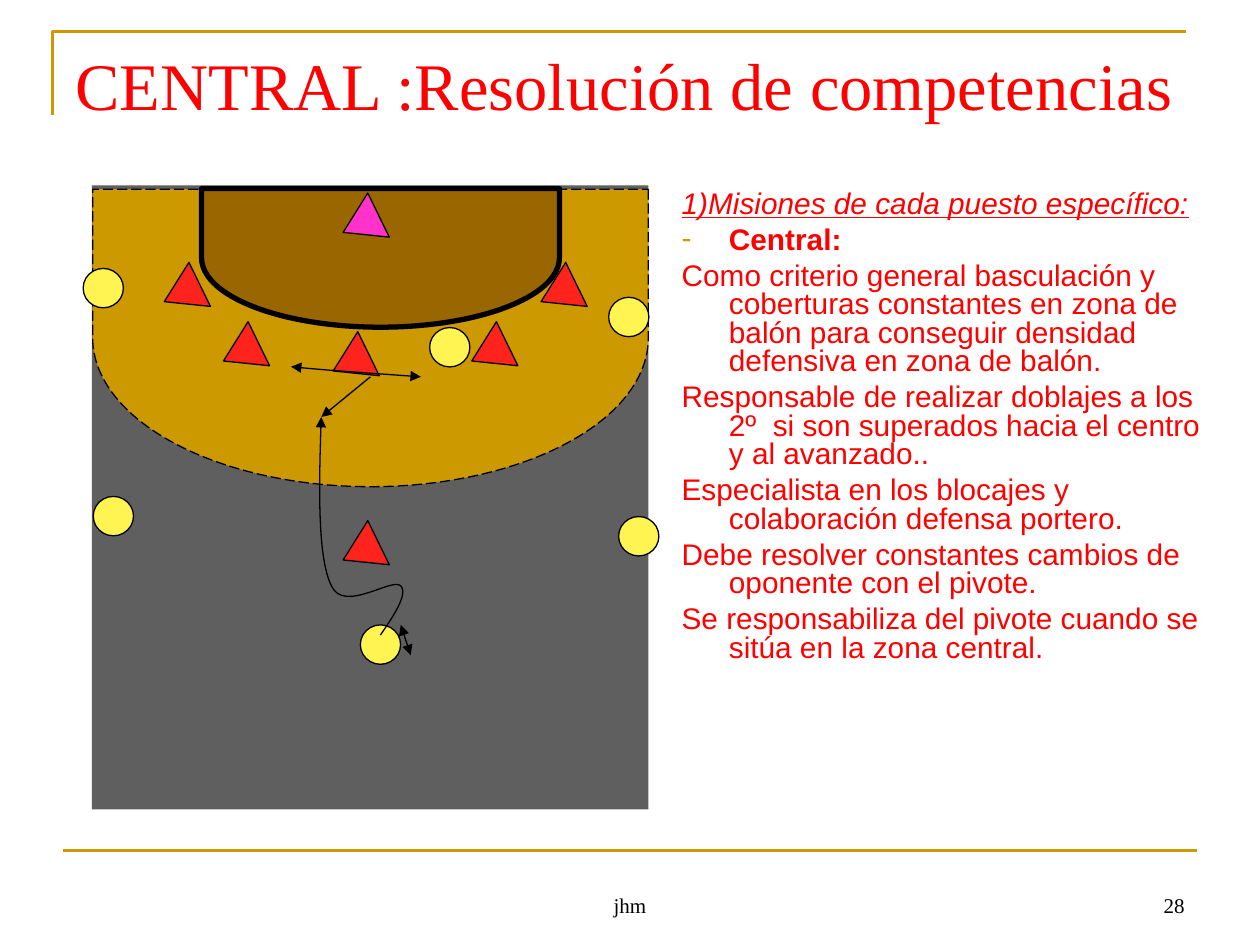
from dataclasses import dataclass
from lxml.etree import SubElement
from pptx import Presentation
from pptx.dml.color import RGBColor
from pptx.enum.dml import MSO_LINE
from pptx.enum.shapes import MSO_CONNECTOR, MSO_SHAPE
from pptx.enum.text import MSO_ANCHOR, MSO_AUTO_SIZE, PP_ALIGN
from pptx.oxml.ns import qn
from pptx.util import Pt


@dataclass(frozen=True)
class Theme:
    accent: str = "CC9900"
    text: str = "FF0000"
    ink: str = "000000"
    court: str = "5F5F5F"
    goal_area: str = "996600"
    defender: str = "FF231E"
    keeper: str = "FF33CC"
    attacker: str = "FFF452"
    serif: str = "Times New Roman"
    sans: str = "Arial"
    title_size: int = 38
    body_size: int = 17
    footer_size: int = 12


theme = Theme()


def paint(shape, fill, color, width):
    shape.shadow.inherit = False
    if fill:
        shape.fill.solid()
        shape.fill.fore_color.rgb = RGBColor.from_string(fill)
    else:
        shape.fill.background()
    if width:
        shape.line.color.rgb = RGBColor.from_string(color)
        shape.line.width = Pt(width)
    else:
        shape.line.fill.background()


def style_text(paragraph, font_name, size, color):
    font = paragraph.runs[0].font
    font.name = font_name
    font.size = Pt(size)
    font.color.rgb = RGBColor.from_string(color)
    return font


prs = Presentation()
prs.slide_width, prs.slide_height = Pt(720), Pt(540)
slide = prs.slides.add_slide(prs.slide_layouts[1])
shapes = slide.shapes

corner = shapes.build_freeform(Pt(30), Pt(66), scale=1.0)
corner.add_line_segments([(Pt(30), Pt(18)), (Pt(678), Pt(18))], close=False)
paint(corner.convert_to_shape(), None, theme.accent, 1.5)

title = shapes.title
title.left, title.top, title.width, title.height = Pt(36), Pt(21.6), Pt(648), Pt(98.6)
title.text_frame.text = "CENTRAL :Resolución de competencias"
title.text_frame.auto_size = MSO_AUTO_SIZE.NONE
title.text_frame.vertical_anchor = MSO_ANCHOR.TOP
title.text_frame.paragraphs[0].alignment = PP_ALIGN.LEFT
style_text(title.text_frame.paragraphs[0], theme.serif, theme.title_size, theme.text)

missions = [
    "1)Misiones de cada puesto específico:",
    "Central:",
    "Como criterio general basculación y coberturas constantes en zona de balón para conseguir densidad defensiva en zona de balón.",
    "Responsable de realizar doblajes a los 2º  si son superados hacia el centro y al avanzado..",
    "Especialista en los blocajes y colaboración defensa portero.",
    "Debe resolver constantes cambios de oponente con el pivote.",
    "Se responsabiliza del pivote cuando se sitúa en la zona central.",
]
body = slide.placeholders[1]
body.left, body.top, body.width, body.height = Pt(382.3), Pt(105.8), Pt(318.2), Pt(325.4)
body.text_frame.text = "\n".join(missions)
body.text_frame.auto_size = MSO_AUTO_SIZE.NONE
for index, mission in enumerate(body.text_frame.paragraphs):
    mission.line_spacing = 0.8
    mission.space_before = Pt(4.2)
    font = style_text(mission, theme.sans, theme.body_size, theme.text)
    font.italic = font.underline = index == 0
    font.bold = index == 1
    props = mission._p.get_or_add_pPr()
    props.set("marL", str(Pt(27)))
    props.set("indent", str(Pt(-27)))
    if index == 1:
        SubElement(SubElement(props, qn("a:buClr")), qn("a:srgbClr"), val=theme.accent)
        SubElement(props, qn("a:buChar"), char="-")
    else:
        SubElement(props, qn("a:buNone"))

for words, left, width, align in [
    ("jhm", 246, 228, PP_ALIGN.CENTER),
    ("28", 516, 168, PP_ALIGN.RIGHT),
]:
    footer = shapes.add_textbox(Pt(left), Pt(492), Pt(width), Pt(36)).text_frame
    footer.word_wrap = True
    footer.vertical_anchor = MSO_ANCHOR.BOTTOM
    footer.text = words
    footer.paragraphs[0].alignment = align
    style_text(footer.paragraphs[0], theme.serif, theme.footer_size, theme.ink)

court = shapes.add_shape(MSO_SHAPE.RECTANGLE, Pt(52.5), Pt(106), Pt(318), Pt(356.5))
paint(court, theme.court, None, 0)

for center_x, center_y, depth, span, fill, width, dash in [
    (211.7, 193.1, 170, 317.5, theme.accent, 0.75, MSO_LINE.LONG_DASH),
    (217.4, 147.4, 79.2, 204.5, theme.goal_area, 3, None),
]:
    area = shapes.add_shape(MSO_SHAPE.FLOWCHART_DELAY, Pt(center_x - depth / 2),
                            Pt(center_y - span / 2), Pt(depth), Pt(span))
    area.rotation = 90
    paint(area, fill, theme.ink, width)
    area.line.dash_style = dash

attackers = [(47.5, 153.4), (53.3, 283.7), (245.5, 187.2),
             (347.8, 169.9), (353.5, 295.2), (205.9, 357.1)]
defenders = [(90, 156.2), (123.8, 190.1), (186.5, 195.8),
             (192.2, 303.8), (265.7, 190.1), (305.3, 156.2)]
keepers = [(192.2, 116.6)]
for team, preset, width, height, rotation, fill in [
    (attackers, MSO_SHAPE.OVAL, 23, 22.5, 0, theme.attacker),
    (defenders, MSO_SHAPE.ISOSCELES_TRIANGLE, 28, 22.5, 244, theme.defender),
    (keepers, MSO_SHAPE.ISOSCELES_TRIANGLE, 28, 22.5, 244, theme.keeper),
]:
    for left, top in team:
        player = shapes.add_shape(preset, Pt(left), Pt(top), Pt(width), Pt(height))
        player.rotation = rotation
        paint(player, fill, theme.ink, 0.75)

moves = []
for curve, ends in [
    ([(240.5, 215.3), (209.5, 213.1), (178.6, 211), (166.3, 209.5)],
     ("headEnd", "tailEnd")),
    ([(217.4, 362.9), (225.4, 351.4), (233.3, 339.1), (229, 334.8),
      (223.9, 329.8), (196.6, 350.6), (189.4, 334.8),
      (181.4, 319), (182.2, 278.6), (183.6, 238.3)],
     ("tailEnd",)),
]:
    points = []
    for start in range(0, len(curve) - 1, 3):
        a, b, c, d = curve[start:start + 4]
        for step in range(1, 17):
            t = step / 16
            u = 1 - t
            points.append(tuple(
                Pt(u**3 * a[i] + 3 * u * u * t * b[i] + 3 * u * t * t * c[i] + t**3 * d[i])
                for i in (0, 1)))
    route = shapes.build_freeform(Pt(curve[0][0]), Pt(curve[0][1]), scale=1.0)
    route.add_line_segments(points, close=False)
    run_path = route.convert_to_shape()
    paint(run_path, None, theme.ink, 0.75)
    moves.append((run_path, ends))

for x1, y1, x2, y2, color, width, ends in [
    (36, 486, 684, 486, theme.accent, 1.5, ()),
    (229, 357.1, 234.7, 374.4, theme.ink, 0.75, ("headEnd", "tailEnd")),
    (211.7, 215.3, 183.6, 238.3, theme.ink, 0.75, ("tailEnd",)),
]:
    straight = shapes.add_connector(MSO_CONNECTOR.STRAIGHT, Pt(x1), Pt(y1), Pt(x2), Pt(y2))
    straight.line.color.rgb = RGBColor.from_string(color)
    straight.line.width = Pt(width)
    SubElement(straight._element.spPr, qn("a:effectLst"))
    moves.append((straight, ends))

for move, ends in moves:
    for end in ends:
        SubElement(move.get_or_add_ln(), qn(f"a:{end}"), type="triangle")

prs.save("out.pptx")
